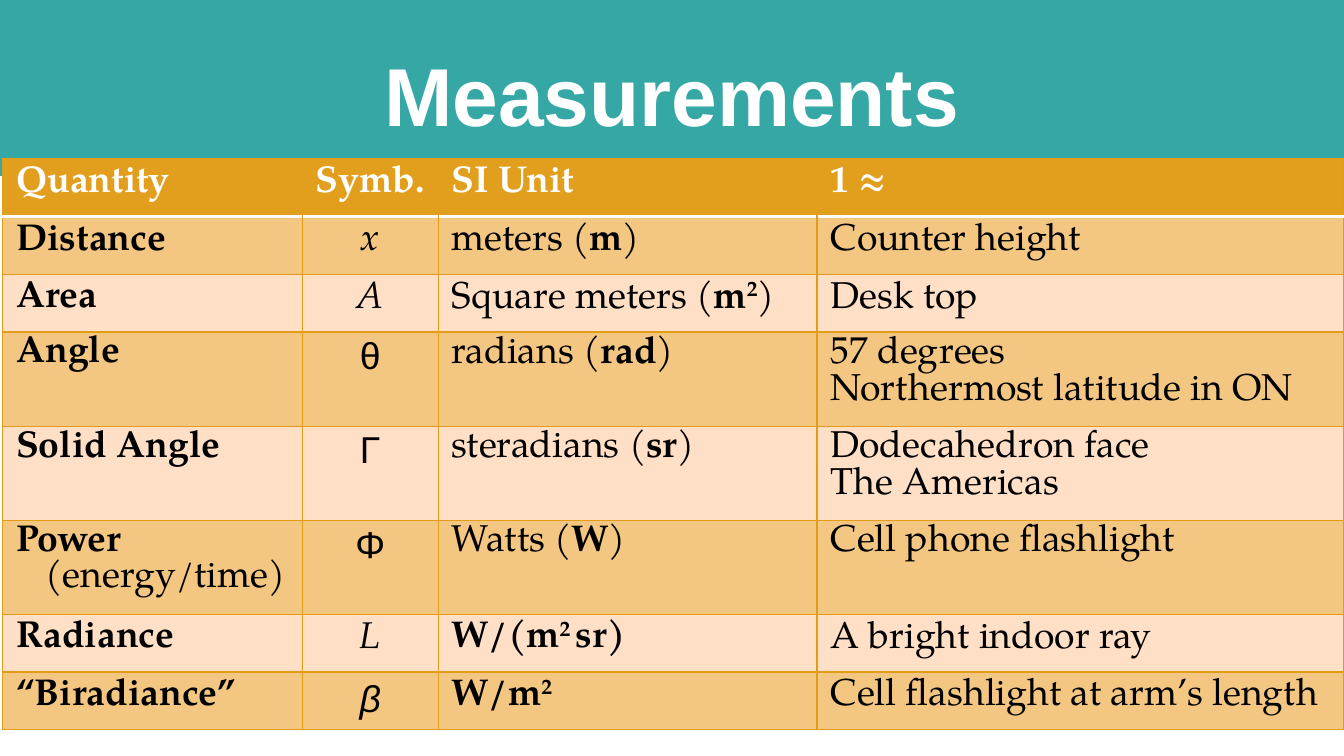
from dataclasses import dataclass
from typing import NamedTuple, Optional

import lxml.etree
import pptx
import pptx.dml.color
import pptx.enum.shapes
import pptx.enum.text
import pptx.oxml.ns
import pptx.util

ALIGN = pptx.enum.text.PP_ALIGN


@dataclass(frozen=True)
class Theme:
    banner: str = "35A8A6"
    header: str = "E29F1D"
    border: str = "E29D18"
    band_dark: str = "F3C682"
    band_light: str = "FFDFC6"
    light: str = "FFFFFF"
    dark: str = "000000"
    sans: str = "Arial"
    serif: str = "TeX Gyre Pagella"
    title_size: int = 44
    body_size: int = 20
    border_width: float = 0.75
    header_rule_width: float = 2


THEME = Theme()
SLIDE_WIDTH, SLIDE_HEIGHT = 10, 10 * 9 / 16
COLUMN_SHARES = (0.223, 0.101, 0.282, 0.392)
ROW_PADDING, LINE_HEIGHT = 0.16, 0.27
SUBLINE_INDENT = 0.22


class Run(NamedTuple):
    text: str
    bold: bool = False
    italic: bool = False
    raised: bool = False
    font: str = THEME.serif


class Line(NamedTuple):
    runs: list[Run]
    indent: float = 0


class Measurement(NamedTuple):
    quantity: str
    symbol: Run
    unit: list[Run]
    examples: list[str]
    note: str = ""


class Edge(NamedTuple):
    color: Optional[str]
    width: float = THEME.border_width


def bold(text: str) -> Run:
    return Run(text, bold=True)


def variable(text: str) -> Run:
    return Run(text, italic=True)


def greek(text: str, italic: bool = False) -> Run:
    return Run(text, italic=italic, font=THEME.sans)


def raised(text: str) -> Run:
    return Run(text, bold=True, raised=True)


def named_unit(name: str, *symbol: Run) -> list[Run]:
    """A unit's name followed by its symbol in parentheses."""
    return [Run(f"{name} ("), *symbol, Run(")")]


HEADINGS = ("Quantity", "Symb.", "SI Unit", "1 ≈")
MEASUREMENTS = [
    Measurement("Distance", variable("x"), named_unit("meters", bold("m")), ["Counter height"]),
    Measurement("Area", variable("A"), named_unit("Square meters", bold("m"), raised("2")), ["Desk top"]),
    Measurement("Angle", greek("θ"), named_unit("radians", bold("rad")),
                ["57 degrees", "Northermost latitude in ON"]),
    Measurement("Solid Angle", greek("Γ"), named_unit("steradians", bold("sr")),
                ["Dodecahedron face", "The Americas"]),
    Measurement("Power", greek("Φ"), named_unit("Watts", bold("W")),
                ["Cell phone flashlight"], note="(energy/time)"),
    Measurement("Radiance", variable("L"), [bold("W/(m"), raised("2 "), bold("sr)")],
                ["A bright indoor ray"]),
    Measurement("“Biradiance”", greek("β", italic=True), [bold("W/m"), raised("2")],
                ["Cell flashlight at arm’s length"]),
]


def across(share: float) -> int:
    return pptx.util.Inches(SLIDE_WIDTH * share)


def down(share: float) -> int:
    return pptx.util.Inches(SLIDE_HEIGHT * share)


def rgb(color: str) -> pptx.dml.color.RGBColor:
    return pptx.dml.color.RGBColor.from_string(color)


def add_run(paragraph, run: Run, size: float, color: str) -> None:
    text_run = paragraph.add_run()
    text_run.text = run.text
    formats = {"name": run.font, "size": pptx.util.Pt(size), "bold": run.bold, "italic": run.italic}
    for attribute, value in formats.items():
        setattr(text_run.font, attribute, value)
    text_run.font.color.rgb = rgb(color)
    if run.raised:
        text_run.font._element.set("baseline", "30000")


def write_lines(text_frame, lines: list[Line], size: float, color: str, alignment=ALIGN.LEFT) -> None:
    for index, line in enumerate(lines):
        paragraph = text_frame.add_paragraph() if index else text_frame.paragraphs[0]
        paragraph.alignment = alignment
        if line.indent:
            paragraph._p.get_or_add_pPr().set("marL", str(pptx.util.Inches(line.indent)))
        for run in line.runs:
            add_run(paragraph, run, size, color)


def set_borders(cell, edges: dict[str, Edge]) -> None:
    """Borders must precede the fill, so call this before filling the cell."""
    qn = pptx.oxml.ns.qn
    properties = cell._tc.get_or_add_tcPr()
    for side, edge in edges.items():
        line = lxml.etree.SubElement(properties, qn(f"a:ln{side}"), w=str(pptx.util.Pt(edge.width)))
        if edge.color is None:
            lxml.etree.SubElement(line, qn("a:noFill"))
        else:
            fill = lxml.etree.SubElement(line, qn("a:solidFill"))
            lxml.etree.SubElement(fill, qn("a:srgbClr"), val=edge.color)


def cell_edges(row: int, column: int) -> dict[str, Edge]:
    edges = dict.fromkeys("LRTB", Edge(THEME.border))
    header_rule = Edge(THEME.light, THEME.header_rule_width)
    if row == 0:
        edges["B"] = header_rule
        if column > 0:
            edges["L"] = Edge(None)
        if column < len(HEADINGS) - 1:
            edges["R"] = Edge(None)
    elif row == 1:
        edges["T"] = header_rule
    return edges


def table_rows() -> list[list[list[Line]]]:
    rows = [[[Line([bold(heading)])] for heading in HEADINGS]]
    for item in MEASUREMENTS:
        quantity = [Line([bold(item.quantity)])]
        if item.note:
            quantity.append(Line([Run(item.note)], SUBLINE_INDENT))
        examples = [Line([Run(example)]) for example in item.examples]
        rows.append([quantity, [Line([item.symbol])], [Line(item.unit)], examples])
    return rows


def add_banner(slide) -> None:
    banner = slide.shapes.add_shape(
        pptx.enum.shapes.MSO_SHAPE.RECTANGLE, 0, 0, across(1), pptx.util.Inches(1.31))
    banner.shadow.inherit = False
    banner.fill.solid()
    banner.fill.fore_color.rgb = rgb(THEME.banner)
    banner.line.fill.background()

    title = slide.shapes.add_textbox(across(0.05), down(0.04), across(0.9), down(0.167))
    title.text_frame.word_wrap = True
    title.text_frame.vertical_anchor = pptx.enum.text.MSO_ANCHOR.MIDDLE
    heading = Run("Measurements", bold=True, font=THEME.sans)
    write_lines(title.text_frame, [Line([heading])], THEME.title_size, THEME.light, ALIGN.CENTER)


def add_measurement_table(slide) -> None:
    rows = table_rows()
    line_counts = [max(map(len, row)) for row in rows]
    heights = [ROW_PADDING + LINE_HEIGHT * count for count in line_counts]
    table = slide.shapes.add_table(
        len(rows), len(HEADINGS), across(0.002), down(0.21),
        across(sum(COLUMN_SHARES)), pptx.util.Inches(sum(heights))).table
    table.horz_banding = False
    for column, share in zip(table.columns, COLUMN_SHARES):
        column.width = across(share)
    for row_index, row in enumerate(rows):
        table.rows[row_index].height = pptx.util.Inches(heights[row_index])
        band = THEME.band_dark if row_index % 2 else THEME.band_light
        margins = {"margin_top": 0.05 if line_counts[row_index] == 1 else 0.03,
                   "margin_bottom": 0, "margin_right": 0.1 if row_index else 0.05}
        for column_index, lines in enumerate(row):
            cell = table.cell(row_index, column_index)
            for attribute, inches in margins.items():
                setattr(cell, attribute, pptx.util.Inches(inches))
            set_borders(cell, cell_edges(row_index, column_index))
            cell.fill.solid()
            cell.fill.fore_color.rgb = rgb(band if row_index else THEME.header)
            centred = row_index > 0 and column_index == 1
            write_lines(cell.text_frame, lines, THEME.body_size,
                        THEME.dark if row_index else THEME.light,
                        ALIGN.CENTER if centred else ALIGN.LEFT)


def main() -> None:
    presentation = pptx.Presentation()
    presentation.slide_width, presentation.slide_height = across(1), down(1)
    slide = presentation.slides.add_slide(presentation.slide_layouts[6])
    add_banner(slide)
    add_measurement_table(slide)
    presentation.save("out.pptx")


if __name__ == "__main__":
    main()
